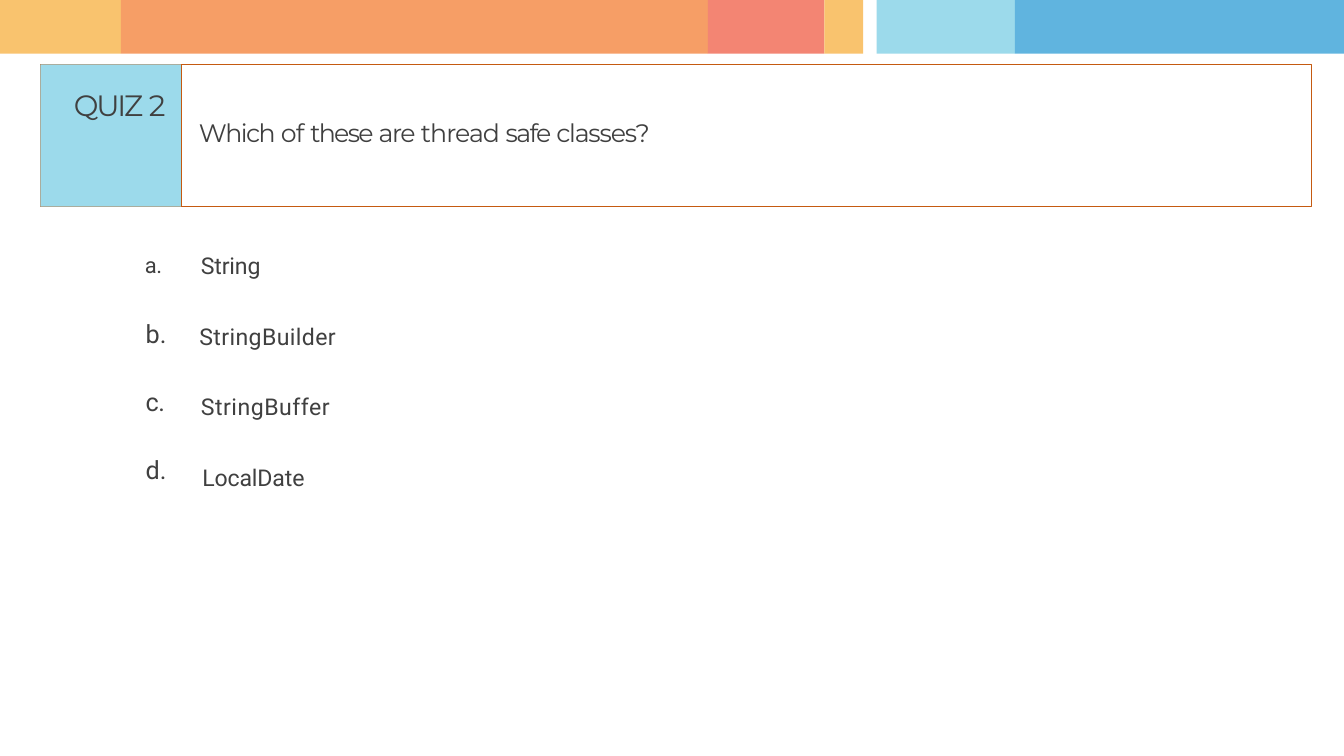
from lxml import etree
from pptx import Presentation
from pptx.dml.color import RGBColor
from pptx.enum.shapes import MSO_CONNECTOR, MSO_SHAPE
from pptx.enum.text import MSO_ANCHOR, MSO_AUTO_SIZE, PP_ALIGN
from pptx.oxml.ns import qn
from pptx.util import Cm, Pt

RECTANGLE = MSO_SHAPE.RECTANGLE
STRAIGHT = MSO_CONNECTOR.STRAIGHT
TOP = MSO_ANCHOR.TOP
LEFT = PP_ALIGN.LEFT
NO_AUTOFIT = MSO_AUTO_SIZE.NONE

YELLOW = RGBColor(0xF9, 0xC3, 0x6E)
ORANGE = RGBColor(0xF6, 0x9E, 0x66)
CORAL = RGBColor(0xF3, 0x85, 0x73)
LIGHT_BLUE = RGBColor(0x9C, 0xDA, 0xEB)
BLUE = RGBColor(0x60, 0xB4, 0xDF)
RUST = RGBColor(0xC5, 0x5A, 0x11)
DARK_GRAY = RGBColor(0x40, 0x40, 0x40)


def add_run(paragraph, text, font_name, size, spacing):
    run = paragraph.add_run()
    run.text = text
    run.font.name = font_name
    run.font.size = Pt(size)
    run.font.color.rgb = DARK_GRAY
    run._r.get_or_add_rPr().set("spc", str(round(spacing * 100)))
    return run


def add_label(left, top, width, height):
    shape = slide.shapes.add_textbox(Cm(left), Cm(top), Cm(width), Cm(height))
    frame = shape.text_frame
    frame.word_wrap = True
    frame.margin_left = frame.margin_right = frame.margin_bottom = 0
    frame.margin_top = Cm(0.03)
    return frame.paragraphs[0]


presentation = Presentation()
presentation.slide_width = Cm(45.16)
presentation.slide_height = Cm(25.4)
slide = presentation.slides.add_slide(presentation.slide_layouts[5])

# Colour band along the top
for left, right, color in [
    (0, 4.06, YELLOW),
    (4.06, 23.79, ORANGE),
    (23.79, 27.7, CORAL),
    (27.7, 29, YELLOW),
    (29.46, 34.1, LIGHT_BLUE),
    (34.1, 45.16, BLUE),
]:
    band = slide.shapes.add_shape(RECTANGLE, Cm(left), 0, Cm(right - left), Cm(1.8))
    band.shadow.inherit = False
    band.fill.solid()
    band.fill.fore_color.rgb = color
    band.line.fill.background()

# Question frame with its divider
question_frame = slide.shapes.add_shape(RECTANGLE, Cm(1.36), Cm(2.16), Cm(42.72), Cm(4.78))
question_frame.shadow.inherit = False
question_frame.fill.background()
question_frame.line.color.rgb = RUST
question_frame.line.width = Pt(0.96)

divider = slide.shapes.add_connector(STRAIGHT, Cm(6.08), Cm(2.16), Cm(6.08), Cm(6.94))
divider.line.color.rgb = RUST
divider.line.width = Pt(0.48)
etree.SubElement(divider._element.spPr, qn("a:effectLst"))

# Quiz number in the title placeholder, in front of the frame
title = slide.shapes.title
slide.shapes._spTree.append(title._element)
title.left, title.top, title.width, title.height = Cm(1.36), Cm(2.16), Cm(4.72), Cm(4.78)
title.fill.solid()
title.fill.fore_color.rgb = LIGHT_BLUE
title_frame = title.text_frame
title_frame.auto_size = NO_AUTOFIT
title_frame.word_wrap = True
title_frame.vertical_anchor = TOP
title_frame.margin_left = title_frame.margin_right = title_frame.margin_bottom = 0
title_frame.margin_top = Cm(0.15)
paragraph = title_frame.paragraphs[0]
paragraph.alignment = LEFT
paragraph.line_spacing = 1.51
paragraph_properties = paragraph._p.get_or_add_pPr()
paragraph_properties.set("marL", str(Cm(2.03)))
paragraph_properties.set("indent", str(Cm(-0.91)))
add_run(paragraph, "QUIZ ", "Montserrat", 28, -2)
add_run(paragraph, "2", "Montserrat", 28, -0.5)

# Question
paragraph = add_label(6.68, 3.91, 37.4, 1.09)
for text, spacing in [
    ("Which ", -1.4),
    ("of ", -0.8),
    ("these ", -1.6),
    ("are ", -1.3),
    ("thread ", -0.9),
    ("safe ", -1.6),
    ("classes?", -1.1),
]:
    add_run(paragraph, text, "Montserrat", 24, spacing)

# First answer: letter and text share one line with a tab
paragraph = add_label(4.87, 8.45, 4.04, 0.99)
paragraph.line_spacing = Pt(27.8)
tab_list = etree.SubElement(paragraph._p.get_or_add_pPr(), qn("a:tabLst"))
etree.SubElement(tab_list, qn("a:tab"), pos=str(Cm(1.88)), algn="l")
letter = add_run(paragraph, "a.\t", "Roboto", 36, -0.4)
letter._r.rPr.set("baseline", "1000")
add_run(paragraph, "String", "Roboto", 22, -0.1)

# Other answers: letter and text in separate boxes
for row, (letter, letter_spacing, answer, left, top, spacing) in enumerate([
    ("b.", 0.2, "StringBuilder", 6.7, 10.8, 0.4),
    ("c.", -0.2, "StringBuffer", 6.75, 13.16, 0.5),
    ("d.", 0.2, "LocalDate", 6.8, 15.55, -0.1),
]):
    add_run(add_label(4.89, 10.68 + row * 2.28, 0.9, 1.09), letter, "Roboto", 24, letter_spacing)
    add_run(add_label(left, top, 5, 0.99), answer, "Roboto", 22, spacing)

presentation.save("out.pptx")
